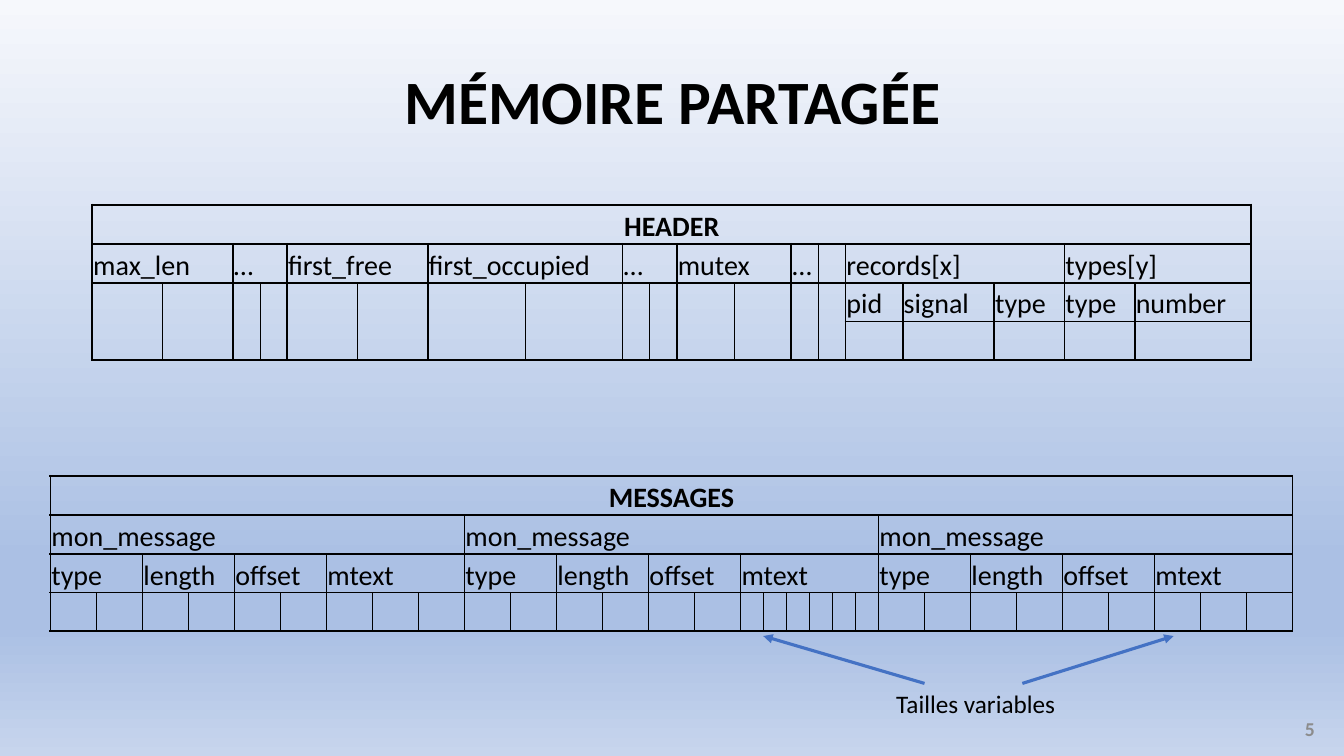
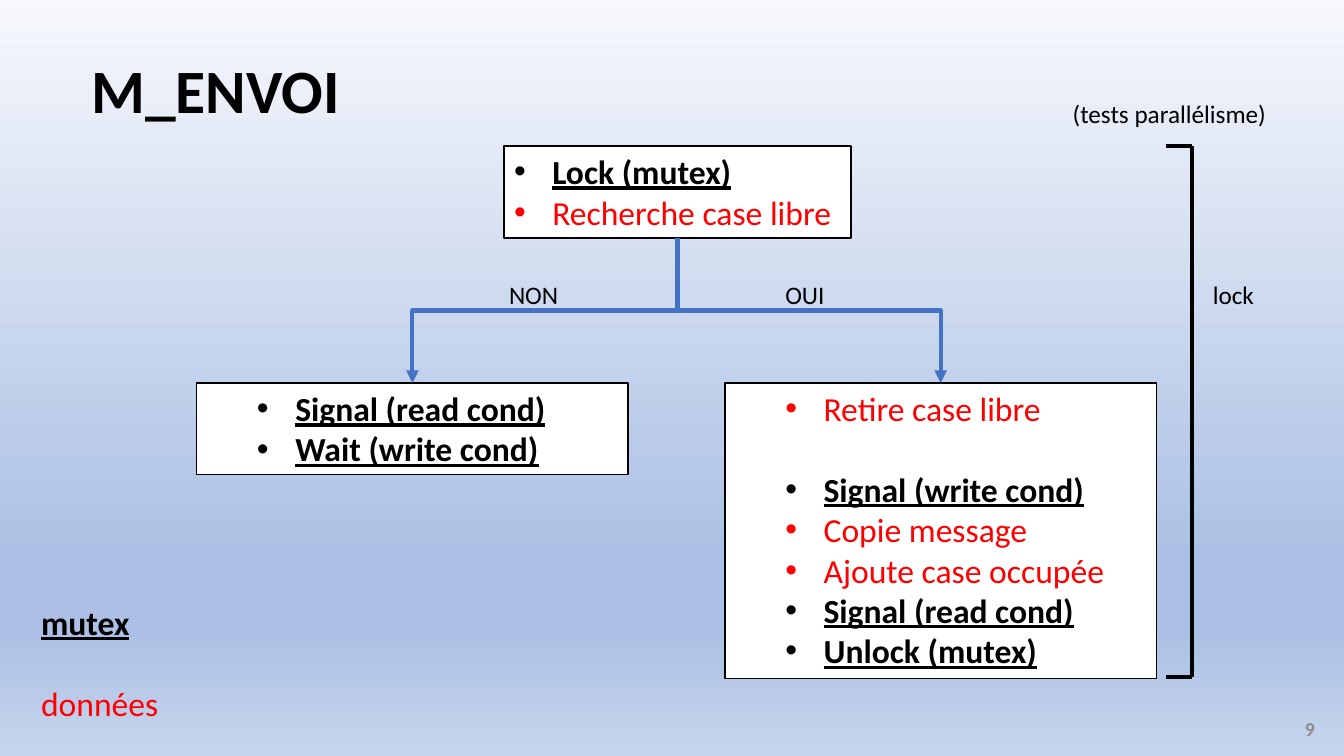
from dataclasses import dataclass
from itertools import product
from lxml.etree import SubElement
from pptx import Presentation
from pptx.dml.color import RGBColor
from pptx.enum.shapes import MSO_CONNECTOR, MSO_SHAPE
from pptx.enum.text import MSO_ANCHOR, PP_ALIGN
from pptx.oxml.ns import qn
from pptx.util import Emu, Inches, Pt


@dataclass(frozen=True)
class Theme:
    font: str = "Calibri"
    black: str = "000000"
    red: str = "FF0000"
    white: str = "FFFFFF"
    blue: str = "4472C4"
    grey: str = "8C8C8C"
    background: tuple = ((0, "F6F8FC"), (74, "ABC0E4"), (83, "ABC0E4"), (100, "C7D5ED"))
    title: int = 44
    step: int = 24
    cell: int = 20
    label: int = 18
    number: int = 14
    thick: float = 1.5
    thin: float = 0.5


THEME = Theme()
WIDTH, HEIGHT = 13.33, 7.5
ROW_HEIGHTS = (0.39, 0.39, 0.38, 0.38)
SKIPPED_LINE = 29  # points

# Content: header fields (name, column widths), then records (name, fields)
HEADER_FIELDS = [
    ("max_len", (0.7, 0.7)), ("…", (0.27, 0.27)), ("first_free", (0.7, 0.7)),
    ("first_occupied", (0.97, 0.97)), ("…", (0.27, 0.27)), ("mutex", (0.57, 0.57)),
    ("…", (0.27, 0.27)),
]
HEADER_RECORDS = [
    ("records[x]", [("pid", 0.57), ("signal", 0.91), ("type", 0.7)]),
    ("types[y]", [("type", 0.7), ("number", 1.16)]),
]
# Messages: each field is cut into runs of cells
MESSAGE_FIELDS = [("type", 2), ("length", 2), ("offset", 2), ("mtext", 3)]
MESSAGE_TEXT_RUNS = [(3,), (5, 1), (3,)]

# Content: steps are (text, kind, follows a gap)
SEARCH = [("Lock (mutex)", "mutex", False), ("Recherche case libre", "data", False)]
WAITING = [("Signal (read cond)", "mutex", False), ("Wait (write cond)", "mutex", False)]
SENDING = [
    ("Retire case libre", "data", False), ("Signal (write cond)", "mutex", True),
    ("Copie message", "data", False), ("Ajoute case occupée", "data", False),
    ("Signal (read cond)", "mutex", False), ("Unlock (mutex)", "mutex", False),
]
LEGEND = [("mutex", "mutex", False), ("données", "data", True)]
LABELS = [
    ("NON", (4.95, 2.72, 0.75, 0.4)), ("OUI", (7.69, 2.72, 0.75, 0.4)),
    ("lock", (11.93, 2.72, 0.75, 0.4)), ("(tests parallélisme)", (10.54, 0.93, 2.21, 0.4)),
]


def inches(*lengths):
    return [Inches(length) for length in lengths]


def add_span(para, text, size, color=THEME.black, bold=False, underline=False):
    span = para.add_run()
    span.text = text
    font = span.font
    font.name, font.size, font.bold = THEME.font, Pt(size), bold
    font.underline = underline
    font.color.rgb = RGBColor.from_string(color)


# Shared slide frame
def paint_background(deck):
    master = deck.slide_master
    fill = master.background.fill
    fill.gradient()
    fill.gradient_angle = 270
    stops = master.element.xpath("./p:cSld/p:bg//a:gsLst")[0]
    for stop in list(stops):
        stops.remove(stop)
    for position, color in THEME.background:
        stop = SubElement(stops, qn("a:gs"), pos=str(position * 1000))
        SubElement(stop, qn("a:srgbClr"), val=color)


def add_page(deck, title, title_area, number):
    page = deck.slides.add_slide(deck.slide_layouts[5])
    box = page.shapes.title
    box.left, box.top, box.width, box.height = inches(*title_area)
    box.text_frame.vertical_anchor = MSO_ANCHOR.MIDDLE
    para = box.text_frame.paragraphs[0]
    para.alignment, para.line_spacing = PP_ALIGN.CENTER, 0.9
    add_span(para, title, THEME.title, bold=True)
    para = add_label(page, number, (10.14, 7.03, 3, 0.4), THEME.number, THEME.grey, True)
    para.alignment = PP_ALIGN.RIGHT
    return page


def add_label(page, text, area, size=THEME.label, color=THEME.black, bold=False):
    frame = page.shapes.add_textbox(*inches(*area)).text_frame
    frame.word_wrap = True
    frame.vertical_anchor = MSO_ANCHOR.MIDDLE
    para = frame.paragraphs[0]
    add_span(para, text, size, color, bold)
    return para


# Lines
def add_line(page, start, end, color, width, arrow=False, kind=MSO_CONNECTOR.STRAIGHT):
    line = page.shapes.add_connector(kind, *inches(*start, *end))
    line.line.color.rgb = RGBColor.from_string(color)
    line.line.width = Pt(width)
    if arrow:
        SubElement(line.line._get_or_add_ln(), qn("a:tailEnd"), type="triangle")
    SubElement(line.element.spPr, qn("a:effectLst"))
    return line


def add_branch(page, source, target):
    """Elbow going down, across and down again: a turned elbow connector."""
    x1, y1 = source.left + source.width // 2, source.top + source.height
    x2, y2 = target.left + target.width // 2, target.top
    line = add_line(page, (0, 0), (1, 1), THEME.blue, 3, True, MSO_CONNECTOR.ELBOW)
    line.begin_connect(source, 2)
    line.end_connect(target, 0)
    line.width, line.height = Emu(y2 - y1), Emu(abs(x2 - x1))
    line.left = Emu((x1 + x2 - line.width) // 2)
    line.top = Emu((y1 + y2 - line.height) // 2)
    frame = line.element.spPr.find(qn("a:xfrm"))
    to_right = x2 > x1
    frame.set("rot", str((270 if to_right else 90) * 60000))
    frame.set("flipH", "1" if to_right else "0")
    frame.set("flipV", "0")


# Tables: a cell is (text, columns, rows, thin sides)
def split(count, rows=1, thin=""):
    return [("", 1, rows, thin + "L" * (i > 0) + "R" * (i < count - 1))
            for i in range(count)]


def header_rows():
    names = [(name, len(widths), 1, "") for name, widths in HEADER_FIELDS[:-1]]
    last_name, last_widths = HEADER_FIELDS[-1]
    names += [(last_name, 1, 1, "R"), ("", 1, 1, "L")]
    names += [(name, len(fields), 1, "") for name, fields in HEADER_RECORDS]
    fields = [field for _, group in HEADER_RECORDS for field in group]
    halves = [cell for _, widths in HEADER_FIELDS for cell in split(len(widths), 2)]
    widths = [width for _, pair in HEADER_FIELDS for width in pair]
    widths += [width for _, width in fields]
    rows = [
        (0, [("HEADER", len(widths), 1, "")]),
        (0, names),
        (0, halves + [(name, 1, 1, "B") for name, _ in fields]),
        (len(halves), [("", 1, 1, "T")] * len(fields)),
    ]
    return rows, widths


def message_rows():
    messages, fields, cells, widths = [], [], [], []
    for text_runs in MESSAGE_TEXT_RUNS:
        total = 0
        for name, units in MESSAGE_FIELDS:
            runs = text_runs if name == "mtext" else (units,)
            count = sum(runs)
            total += count
            fields.append((name, count, 1, "B"))
            widths += [units / count] * count
            for run in runs:
                cells += split(run, thin="T")
        messages.append(("mon_message", total, 1, ""))
    title = [("MESSAGES", len(widths), 1, "")]
    return [(0, title), (0, messages), (0, fields), (0, cells)], widths


def set_borders(cell, thin):
    properties = cell._tc.get_or_add_tcPr()
    for side in "LRTB":
        width = THEME.thin if side in thin else THEME.thick
        line = SubElement(properties, qn(f"a:ln{side}"), w=str(Pt(width)))
        fill = SubElement(line, qn("a:solidFill"))
        SubElement(fill, qn("a:srgbClr"), val=THEME.black)


def add_grid(page, rows, shares, top, width):
    left = (WIDTH - width) / 2
    area = inches(left, top, width, sum(ROW_HEIGHTS))
    table = page.shapes.add_table(len(rows), len(shares), *area).table
    table.first_row = table.horz_banding = False
    for column, share in zip(table.columns, shares):
        column.width = Inches(width * share / sum(shares))
    for row, height in zip(table.rows, ROW_HEIGHTS):
        row.height = Inches(height)
    for r, (c, cells) in enumerate(rows):
        for text, columns, depth, thin in cells:
            for y, x in product(range(r, r + depth), range(c, c + columns)):
                cell = table.cell(y, x)
                set_borders(cell, thin)
                cell.fill.background()
                cell.margin_left = cell.margin_right = cell.margin_top = Inches(0.01)
                cell.margin_bottom = 0
                cell.vertical_anchor = MSO_ANCHOR.BOTTOM
            origin = table.cell(r, c)
            if columns * depth > 1:
                origin.merge(table.cell(r + depth - 1, c + columns - 1))
            if text:
                para = origin.text_frame.paragraphs[0]
                para.alignment = PP_ALIGN.CENTER if r == 0 else PP_ALIGN.LEFT
                add_span(para, text, THEME.cell, bold=r == 0)
            c += columns


# Step lists
def write_steps(frame, steps, indent=None):
    frame.word_wrap = True
    frame.vertical_anchor = MSO_ANCHOR.TOP
    for i, (text, kind, gap) in enumerate(steps):
        para = frame.add_paragraph() if i else frame.paragraphs[0]
        para.alignment = PP_ALIGN.LEFT
        if gap:
            para.space_before = Pt(SKIPPED_LINE)
        if indent:
            properties = para._p.get_or_add_pPr()
            properties.set("marL", str(Inches(indent)))
            properties.set("indent", str(-Inches(0.38)))
            SubElement(properties, qn("a:buFont"), typeface="Arial")
            SubElement(properties, qn("a:buChar"), char="•")
        is_mutex = kind == "mutex"
        color = THEME.black if is_mutex else THEME.red
        add_span(para, text, THEME.step, color, is_mutex, is_mutex)


def add_steps(page, steps, area, indent):
    box = page.shapes.add_shape(MSO_SHAPE.RECTANGLE, *inches(*area))
    box.shadow.inherit = False
    box.fill.solid()
    box.fill.fore_color.rgb = RGBColor.from_string(THEME.white)
    box.line.color.rgb = RGBColor.from_string(THEME.black)
    box.line.width = Pt(1)
    write_steps(box.text_frame, steps, indent)
    return box


# Slides
def build_memory(deck):
    page = add_page(deck, "MÉMOIRE PARTAGÉE", (2.6, 0.52, 8.14, 1.04), "5")
    add_grid(page, *header_rows(), top=2.03, width=11.5)
    add_grid(page, *message_rows(), top=4.72, width=12.33)
    add_label(page, "Tailles variables", (8.79, 6.78, 1.83, 0.4))
    for start, end in ((9.17, 7.57), (10.14, 11.64)):
        add_line(page, (start, 6.78), (end, 6.31), THEME.blue, 2.25, True)


def build_sending(deck):
    page = add_page(deck, "M_ENVOI", (0.31, 0.41, 3.66, 1.04), "9")
    search = add_steps(page, SEARCH, (5, 1.45, 3.44, 0.91), 0.38)
    sending = add_steps(page, SENDING, (7.19, 3.8, 4.28, 2.93), 0.88)
    waiting = add_steps(page, WAITING, (1.95, 3.8, 4.28, 0.91), 0.88)
    for target in (waiting, sending):
        add_branch(page, search, target)
    legend = page.shapes.add_textbox(*inches(0.31, 5.92, 1.6, 1.31))
    write_steps(legend.text_frame, LEGEND)
    for text, area in LABELS:
        add_label(page, text, area)
    # Bracket over the locked part
    top, bottom, spine, tip = 1.45, 6.72, 11.82, 11.56
    add_line(page, (spine, top), (spine, bottom), THEME.black, 3)
    for y in (top, bottom):
        add_line(page, (spine, y), (tip, y), THEME.black, 3)


def main():
    deck = Presentation()
    deck.slide_width, deck.slide_height = inches(WIDTH, HEIGHT)
    paint_background(deck)
    build_memory(deck)
    build_sending(deck)
    deck.save("out.pptx")


if __name__ == "__main__":
    main()
